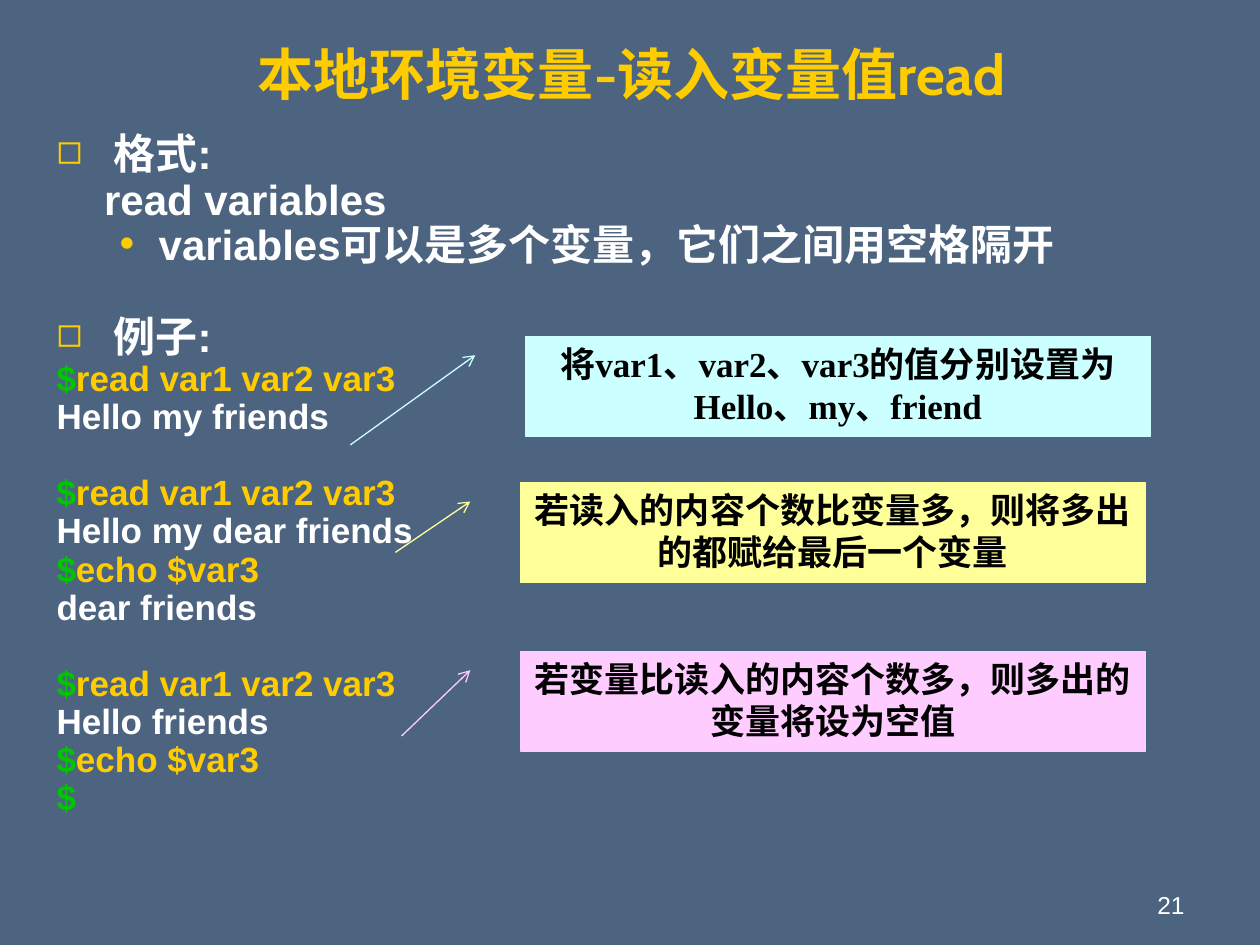
import lxml.etree
import pptx
import pptx.dml.color
import pptx.enum.shapes
import pptx.enum.text
import pptx.oxml.ns
import pptx.util
from pptx.util import Cm

THEME = {
    "background": "4D6480", "accent": "FFCC00", "text": "FFFFFF",
    "prompt": "00C600", "callout_text": "000000",
    "body_font": "Arial", "title_font": "Cabin", "callout_font": "Times New Roman",
    "title_size": 32, "heading_size": 24, "code_size": 20, "number_size": 14,
}

TITLE = "本地环境变量-读入变量值read"
PAGE_NUMBER = "21"

# text, bullet, left margin (cm), first line indent (cm), space before (pt)
FORMAT_LINES = [
    ("格式:", "◻", 1.15, -1.15, 0),
    ("read variables", None, 0.96, 0, 6),
    ("variables可以是多个变量，它们之间用空格隔开", "•", 2.06, -0.79, 6),
    ("例子:", "◻", 1.15, -1.15, 32),
]

EXAMPLES = [
    ["$read var1 var2 var3", "Hello my friends"],
    ["$read var1 var2 var3", "Hello my dear friends", "$echo $var3", "dear friends"],
    ["$read var1 var2 var3", "Hello friends", "$echo $var3", "$"],
]
LINE_GAP, EXAMPLE_GAP = 5, 26.7

# text, colour, left (cm), top (cm), pointer end as (y, x) share of the box
CALLOUTS = [
    ("将var1、var2、var3的值分别设置为Hello、my、friend", "CCFFFF", 10.59, 6.78, (1.09, -0.28)),
    ("若读入的内容个数比变量多，则将多出的都赋给最后一个变量", "FFFF99", 10.49, 9.73, (0.7, -0.2)),
    ("若变量比读入的内容个数多，则多出的变量将设为空值", "FFCCFF", 10.49, 13.13, (0.85, -0.19)),
]
CALLOUT_SIZE = Cm(12.6), Cm(2.01)
POINTER_START = (0.19, -0.08)


def rgb(colour):
    return pptx.dml.color.RGBColor.from_string(colour)


def format_run(run, size, colour, font, bold=True):
    run.font.size = pptx.util.Pt(size)
    run.font.color.rgb = rgb(colour)
    run.font.name = font
    run.font.bold = bold


def add_text_box(slide, left, top, width, height, anchor):
    text_frame = slide.shapes.add_textbox(Cm(left), Cm(top), Cm(width), Cm(height)).text_frame
    text_frame.word_wrap = True
    text_frame.vertical_anchor = anchor
    return text_frame


def add_bullet(paragraph, character):
    properties = paragraph._p.get_or_add_pPr()
    colour = lxml.etree.SubElement(properties, pptx.oxml.ns.qn("a:buClr"))
    lxml.etree.SubElement(colour, pptx.oxml.ns.qn("a:srgbClr"), val=THEME["accent"])
    lxml.etree.SubElement(properties, pptx.oxml.ns.qn("a:buFont"), typeface=THEME["body_font"])
    lxml.etree.SubElement(properties, pptx.oxml.ns.qn("a:buChar"), char=character)


def add_line(text_frame, gap):
    """Return a new tight paragraph, using the first one while it is still empty."""
    first = text_frame.paragraphs[0]
    paragraph = text_frame.add_paragraph() if first.runs else first
    paragraph.line_spacing = 0.7
    paragraph.space_before = pptx.util.Pt(gap)
    return paragraph


def add_format_line(text_frame, text, bullet, margin, indent, gap):
    paragraph = add_line(text_frame, gap)
    properties = paragraph._p.get_or_add_pPr()
    properties.set("marL", str(Cm(margin)))
    properties.set("indent", str(Cm(indent)))
    if bullet:
        add_bullet(paragraph, bullet)
    run = paragraph.add_run()
    run.text = text
    format_run(run, THEME["heading_size"], THEME["text"], THEME["body_font"])


def add_code_line(text_frame, text, gap):
    """Add a shell line: a prompt and its command, or plain output."""
    paragraph = add_line(text_frame, gap)
    if text.startswith("$"):
        parts = [("$", THEME["prompt"]), (text[1:], THEME["accent"])]
    else:
        parts = [(text, THEME["text"])]
    for part, colour in parts:
        if part:
            run = paragraph.add_run()
            run.text = part
            format_run(run, THEME["code_size"], colour, THEME["body_font"])


def add_callout(slide, text, colour, left, top, pointer_end):
    shape = slide.shapes.add_shape(
        pptx.enum.shapes.MSO_SHAPE.LINE_CALLOUT_1, Cm(left), Cm(top), *CALLOUT_SIZE)
    shape.shadow.inherit = False
    for index, value in enumerate(POINTER_START + pointer_end):
        shape.adjustments[index] = value
    shape.fill.solid()
    shape.fill.fore_color.rgb = rgb(colour)
    shape.line.color.rgb = rgb(colour)
    shape.line.width = pptx.util.Pt(0.75)
    line = shape.line._get_or_add_ln()
    lxml.etree.SubElement(line, pptx.oxml.ns.qn("a:headEnd"), type="arrow")
    text_frame = shape.text_frame
    text_frame.word_wrap = True
    text_frame.vertical_anchor = pptx.enum.text.MSO_ANCHOR.TOP
    text_frame.text = text
    paragraph = text_frame.paragraphs[0]
    paragraph.alignment = pptx.enum.text.PP_ALIGN.CENTER
    format_run(paragraph.runs[0], THEME["code_size"], THEME["callout_text"], THEME["callout_font"])


def main():
    anchors, alignments = pptx.enum.text.MSO_ANCHOR, pptx.enum.text.PP_ALIGN
    presentation = pptx.Presentation()
    presentation.slide_width, presentation.slide_height = Cm(25.4), Cm(19.05)
    slide = presentation.slides.add_slide(presentation.slide_layouts[6])
    slide.background.fill.solid()
    slide.background.fill.fore_color.rgb = rgb(THEME["background"])

    number = add_text_box(slide, 18.21, 17.35, 5.92, 1.32, anchors.BOTTOM)
    number.text = PAGE_NUMBER
    number.paragraphs[0].alignment = alignments.RIGHT
    format_run(number.paragraphs[0].runs[0], THEME["number_size"], THEME["text"],
               THEME["body_font"], bold=False)

    title = add_text_box(slide, 1.3, 0.53, 22.86, 1.9, anchors.MIDDLE)
    title.text = TITLE
    title.paragraphs[0].alignment = alignments.CENTER
    format_run(title.paragraphs[0].runs[0], THEME["title_size"], THEME["accent"],
               THEME["title_font"])

    body = add_text_box(slide, 0.89, 2.72, 23.8, 15.01, anchors.TOP)
    for format_line in FORMAT_LINES:
        add_format_line(body, *format_line)
    for example_index, example in enumerate(EXAMPLES):
        for line_index, text in enumerate(example):
            starts_later_example = example_index > 0 and line_index == 0
            add_code_line(body, text, EXAMPLE_GAP if starts_later_example else LINE_GAP)

    for callout in CALLOUTS:
        add_callout(slide, *callout)
    presentation.save("out.pptx")


if __name__ == "__main__":
    main()
